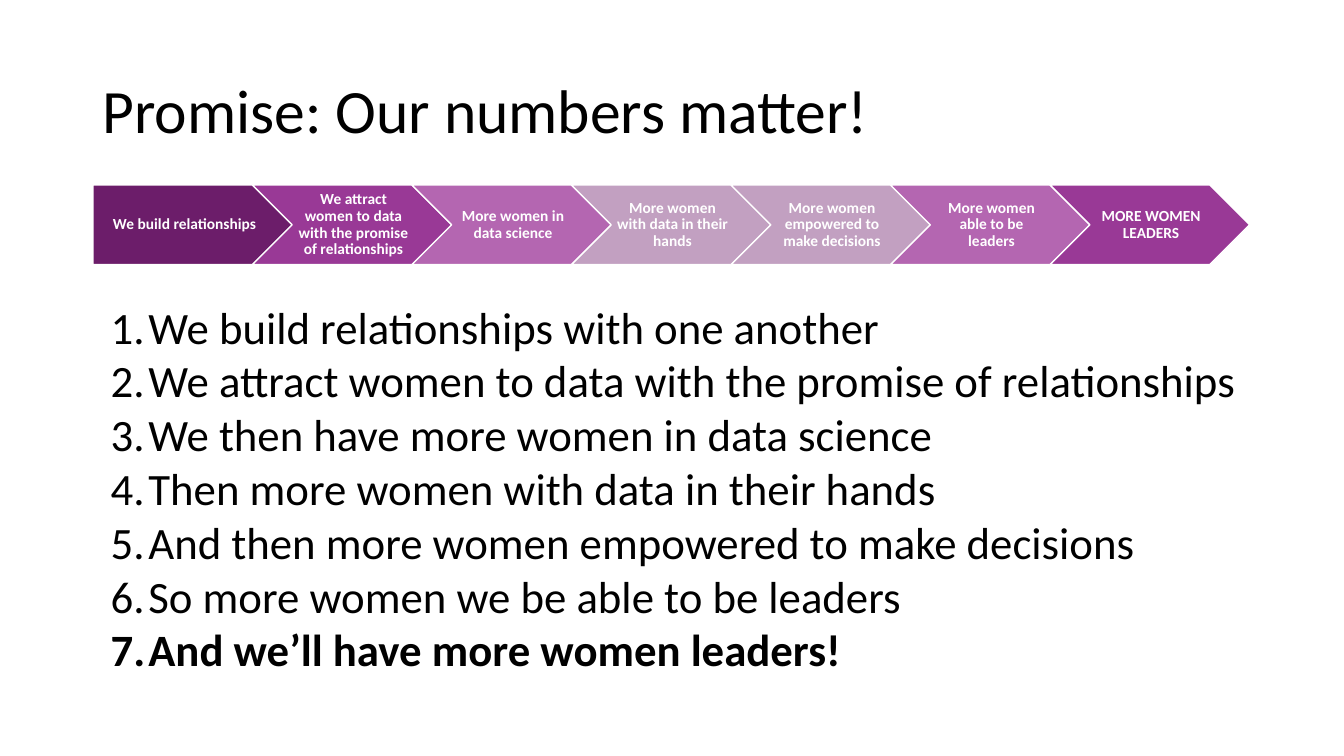
from dataclasses import dataclass
from lxml.etree import SubElement
from pptx import Presentation
from pptx.dml.color import RGBColor
from pptx.enum.shapes import MSO_SHAPE as Shape
from pptx.enum.text import MSO_ANCHOR as Anchor, MSO_AUTO_SIZE as AutoSize, PP_ALIGN as Align
from pptx.oxml.ns import qn
from pptx.util import Cm, Pt


@dataclass
class Step:
    label: str
    fill: str
    sentence: str
    bold: bool = False


STEPS = [
    Step("We build relationships", "6C1D6A", "We build relationships with one another"),
    Step("We attract women to data with the promise of relationships", "993996",
         "We attract women to data with the promise of relationships"),
    Step("More women in data science", "B466B1", "We then have more women in data science"),
    Step("More women with data in their hands", "C2A0C1",
         "Then more women with data in their hands"),
    Step("More women empowered to make decisions", "C2A0C1",
         "And then more women empowered to make decisions"),
    Step("More women able to be leaders", "B466B1", "So more women we be able to be leaders"),
    Step("MORE WOMEN LEADERS", "993996", "And we’ll have more women leaders!", True),
]
LEFT, TOP, WIDTH, HEIGHT, PITCH = 2.34, 4.66, 5.03, 2.01, 4.02


def rgb(value: str) -> RGBColor:
    return RGBColor.from_string(value)


def write(p, text: str, *, size: float, color: str = "000000", bold: bool = False,
          align=Align.LEFT, spacing: float = 1.0) -> None:
    p.alignment = align
    p.line_spacing = spacing
    r = p.add_run()
    r.text = text
    r.font.name = "Calibri"
    r.font.size = Pt(size)
    r.font.bold = bold
    r.font.color.rgb = rgb(color)


def number(p) -> None:
    pPr = p._p.get_or_add_pPr()
    pPr.set("marL", str(Cm(0.95)))
    pPr.set("indent", str(-Cm(0.95)))
    SubElement(pPr, qn("a:buFont"), typeface="+mj-lt")
    SubElement(pPr, qn("a:buAutoNum"), type="arabicPeriod")


def add_title(slide, text: str) -> None:
    sp = slide.shapes.title
    sp.left, sp.top, sp.width, sp.height = Cm(2.33), Cm(1.01), Cm(29.21), Cm(3.68)
    tf = sp.text_frame
    tf.vertical_anchor = Anchor.MIDDLE
    write(tf.paragraphs[0], text, size=44, spacing=0.9)


def add_arrow(slide, index: int, step: Step) -> None:
    kind = Shape.CHEVRON if index else Shape.PENTAGON
    sp = slide.shapes.add_shape(kind, Cm(LEFT + index * PITCH), Cm(TOP), Cm(WIDTH), Cm(HEIGHT))
    sp.shadow.inherit = False
    sp.fill.solid()
    sp.fill.fore_color.rgb = rgb(step.fill)
    sp.line.color.rgb = rgb("FFFFFF")
    sp.line.width = Pt(1)
    tf = sp.text_frame
    tf.word_wrap = True
    tf.vertical_anchor = Anchor.MIDDLE
    tf.margin_left = Cm(0.12 if index else 0.15)
    tf.margin_right = Cm(0.05)
    tf.margin_top = tf.margin_bottom = Cm(0.07)
    write(tf.paragraphs[0], step.label, size=11, color="FFFFFF", bold=True,
          align=Align.CENTER, spacing=0.9)


def add_list(slide, steps: list[Step]) -> None:
    sp = slide.shapes.add_textbox(Cm(2.54), Cm(7.42), Cm(30.12), Cm(9.83))
    tf = sp.text_frame
    tf.word_wrap = True
    tf.auto_size = AutoSize.SHAPE_TO_FIT_TEXT
    for i, step in enumerate(steps):
        p = tf.add_paragraph() if i else tf.paragraphs[0]
        write(p, step.sentence, size=32, bold=step.bold)
        number(p)


def main() -> None:
    prs = Presentation()
    prs.slide_width, prs.slide_height = Cm(33.87), Cm(19.05)
    slide = prs.slides.add_slide(prs.slide_layouts[5])
    add_title(slide, "Promise: Our numbers matter!")
    for i, step in enumerate(STEPS):
        add_arrow(slide, i, step)
    add_list(slide, STEPS)
    prs.save("out.pptx")


if __name__ == "__main__":
    main()
